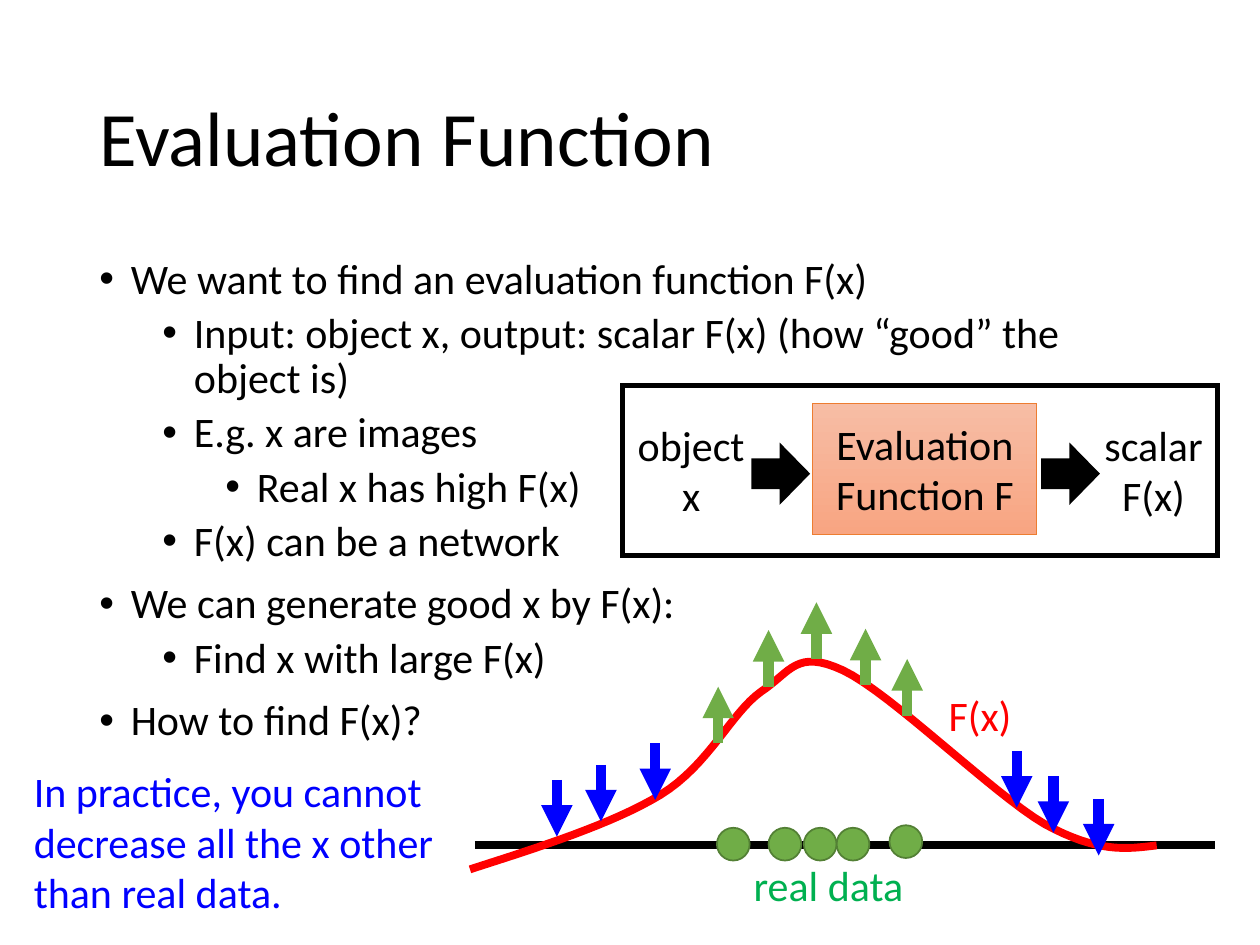
import pptx
import pptx.util
import pptx.dml.color
import pptx.enum.shapes
import pptx.enum.text
import pptx.oxml.ns
from lxml import etree
from pptx.util import Inches

COLORS = {
    "black": "000000", "red": "FF0000", "blue": "0000FF",
    "green": "70AD47", "green_edge": "538035", "label_green": "00B050",
    "orange": "ED7D31", "peach_top": "F7BDA5", "peach_bottom": "F8A582",
}
SHAPE = pptx.enum.shapes.MSO_SHAPE
ALIGN = pptx.enum.text.PP_ALIGN
MIDDLE = pptx.enum.text.MSO_ANCHOR.MIDDLE
BULLETS = [
    (0, "We want to find an evaluation function F(x)"),
    (1, "Input: object x, output: scalar F(x) (how “good” the object is)"),
    (1, "E.g. x are images"),
    (2, "Real x has high F(x)"),
    (1, "F(x) can be a network"),
    (0, "We can generate good x by F(x):"),
    (1, "Find x with large F(x)"),
    (0, "How to find F(x)?"),
]
# Start point, then two control points and an end point per segment
CURVE_START = (3.73, 6.9)
CURVE = [
    ((4.29, 6.72), (4.86, 6.54), (5.24, 6.31)),
    ((5.63, 6.07), (5.8, 5.66), (6.04, 5.49)),
    ((6.28, 5.33), (6.32, 5.15), (6.69, 5.32)),
    ((7.07, 5.5), (7.88, 6.3), (8.29, 6.54)),
    ((8.71, 6.77), (8.94, 6.74), (9.18, 6.71)),
]
REAL_DATA = [(6.38, 6.57), (6.1, 6.57), (6.64, 6.57), (5.69, 6.57), (7.06, 6.55)]
UP_ARROWS = [(5.7, 5.9), (6.1, 5.45), (6.48, 5.23), (6.87, 5.44), (7.2, 5.68)]
DOWN_ARROWS = [(5.2, 5.9), (4.77, 6.07), (4.42, 6.19),
               (8.72, 6.34), (8.36, 6.16), (8.07, 5.96)]
ARROW_LENGTH = 0.45


def rgb(name):
    return pptx.dml.color.RGBColor.from_string(COLORS[name])


def child(parent, tag, **attrs):
    return etree.SubElement(parent, pptx.oxml.ns.qn(tag), attrs)


def set_line(sp, color, width):
    sp.line.color.rgb = rgb(color)
    sp.line.width = pptx.util.Pt(width)
    ln = sp._element.spPr.find(pptx.oxml.ns.qn("a:ln"))
    child(ln, "a:miter", lim="800000")
    return ln


def add_bullet(p, level):
    p.level = level
    pPr = p._p.get_or_add_pPr()
    pPr.set("marL", str(Inches(0.25 + 0.5 * level)))
    pPr.set("indent", str(Inches(-0.25)))
    child(pPr, "a:buFont", typeface="Arial")
    child(pPr, "a:buChar", char="•")


def write(p, text, size=24, color="black", align=None, spacing=None, before=None):
    if align is not None:
        p.alignment = align
    if spacing is not None:
        p.line_spacing = spacing
    if before is not None:
        p.space_before = pptx.util.Pt(before)
    r = p.add_run()
    r.text = text
    r.font.name = "Calibri"
    r.font.size = pptx.util.Pt(size)
    r.font.color.rgb = rgb(color)


def add_text(s, box, lines, anchor=None, wrap=True, **style):
    tf = s.shapes.add_textbox(*map(Inches, box)).text_frame
    tf.word_wrap = wrap
    if anchor is not None:
        tf.vertical_anchor = anchor
    for i, text in enumerate(lines):
        write(tf.add_paragraph() if i else tf.paragraphs[0], text, **style)


def add_bullets(s, box, items):
    tf = s.shapes.add_textbox(*map(Inches, box)).text_frame
    tf.word_wrap = True
    for i, (level, text) in enumerate(items):
        p = tf.add_paragraph() if i else tf.paragraphs[0]
        add_bullet(p, level)
        before = (5 if level else 10) if i else 0
        write(p, text, spacing=0.9, before=before)


def add_shape(s, kind, box, fill, line, width):
    sp = s.shapes.add_shape(kind, *map(Inches, box))
    sp.shadow.inherit = False
    if fill:
        sp.fill.solid()
        sp.fill.fore_color.rgb = rgb(fill)
    else:
        sp.fill.background()
    set_line(sp, line, width)
    return sp


def add_line(s, start, end, color, width, arrow=False):
    cx = s.shapes.add_connector(pptx.enum.shapes.MSO_CONNECTOR.STRAIGHT,
                                *map(Inches, start + end))
    ln = set_line(cx, color, width)
    if arrow:
        child(ln, "a:tailEnd", type="triangle")
    child(cx._element.spPr, "a:effectLst")


def bezier(points, t):
    weights = ((1 - t) ** 3, 3 * t * (1 - t) ** 2, 3 * t * t * (1 - t), t ** 3)
    return tuple(sum(w * pt[axis] for w, pt in zip(weights, points))
                 for axis in (0, 1))


def add_curve(s, start, segments, color, width, steps=16):
    points, here = [], start
    for segment in segments:
        points += [bezier((here,) + segment, i / steps) for i in range(1, steps + 1)]
        here = segment[-1]
    # The builder rounds to whole units, so points are given in EMU
    builder = s.shapes.build_freeform(*map(Inches, start), scale=1.0)
    builder.add_line_segments([tuple(map(Inches, pt)) for pt in points], close=False)
    sp = builder.convert_to_shape()
    sp.shadow.inherit = False
    sp.fill.background()
    set_line(sp, color, width)


def add_function_box(s):
    sp = add_shape(s, SHAPE.RECTANGLE, (6.45, 3.2, 1.78, 1.04), None, "orange", 0.5)
    sp.fill.gradient()
    sp.fill.gradient_angle = 270
    for stop, color in zip(sp.fill.gradient_stops, ("peach_top", "peach_bottom")):
        stop.color.rgb = rgb(color)
    sp.text_frame.word_wrap = True
    sp.text_frame.vertical_anchor = MIDDLE
    write(sp.text_frame.paragraphs[0], "Evaluation Function F", align=ALIGN.CENTER)


def main():
    prs = pptx.Presentation()
    prs.slide_width, prs.slide_height = Inches(10), Inches(7.5)
    s = prs.slides.add_slide(prs.slide_layouts[6])

    # Title and bullets
    add_text(s, (0.69, 0.4, 8.62, 1.45), ["Evaluation Function"],
             anchor=MIDDLE, size=44, spacing=0.9)
    add_bullets(s, (0.69, 2, 8.62, 4.76), BULLETS)

    # Axis, curve and real data
    add_line(s, (3.77, 6.71), (9.64, 6.71), "black", 4.5)
    add_curve(s, CURVE_START, CURVE, "red", 4.5)
    for x, y in REAL_DATA:
        add_shape(s, SHAPE.OVAL, (x, y, 0.26, 0.26), "green", "green_edge", 1)
    add_text(s, (7.43, 5.42, 0.71, 0.5), ["F(x)"], wrap=False, color="red")
    add_text(s, (5.62, 6.77, 1.91, 0.5), ["real data"],
             color="label_green", align=ALIGN.CENTER)

    # Push up on real data, down elsewhere
    for x, y in UP_ARROWS:
        add_line(s, (x, y), (x, y - ARROW_LENGTH), "green", 6, arrow=True)
    for x, y in DOWN_ARROWS:
        add_line(s, (x, y), (x, y + ARROW_LENGTH), "blue", 6, arrow=True)

    # Object to scalar diagram
    add_function_box(s)
    for x in (5.97, 8.27):
        add_shape(s, SHAPE.RIGHT_ARROW, (x, 3.53, 0.45, 0.46), "black", "black", 1)
    for x, lines in ((4.74, ["object", "x"]), (8.41, ["scalar", "F(x)"])):
        add_text(s, (x, 3.28, 1.49, 0.91), lines, align=ALIGN.CENTER)
    add_shape(s, SHAPE.RECTANGLE, (4.94, 3.06, 4.72, 1.35), None, "black", 3)

    # Remark
    add_text(s, (0.17, 6.03, 3.43, 1.31),
             ["In practice, you cannot decrease all the x other than real data."],
             color="blue")

    prs.save("out.pptx")


if __name__ == "__main__":
    main()
